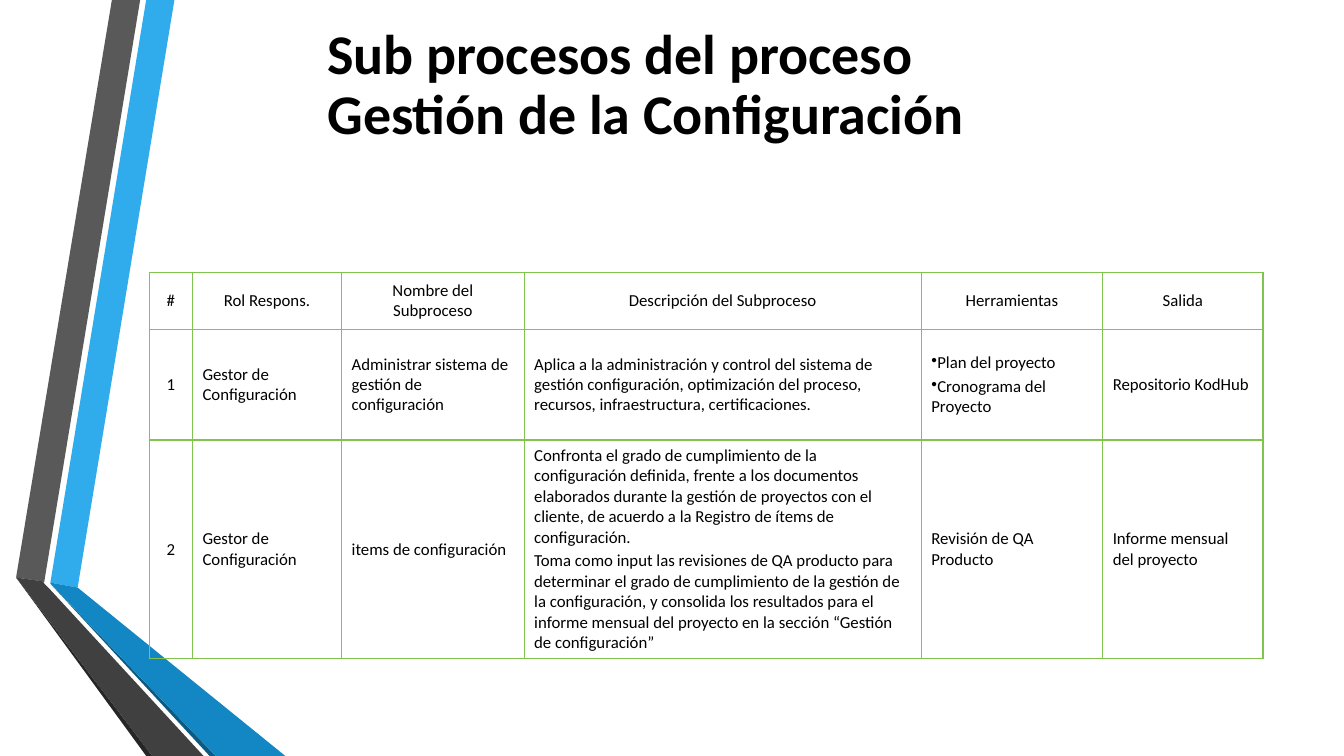
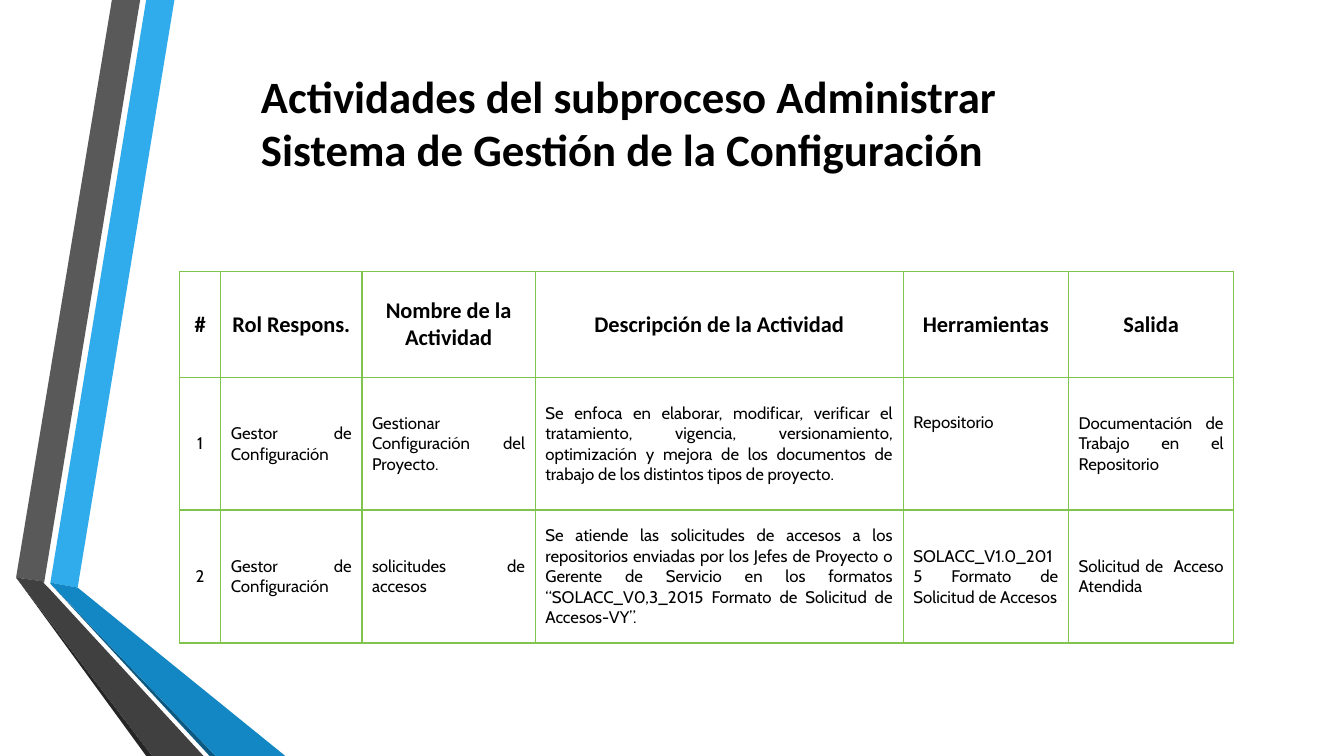
from lxml import etree
from pptx import Presentation
from pptx.dml.color import RGBColor
from pptx.enum.text import MSO_ANCHOR, MSO_AUTO_SIZE, PP_ALIGN
from pptx.oxml.ns import qn
from pptx.util import Inches, Pt

LEFT, CENTER, JUSTIFY = PP_ALIGN.LEFT, PP_ALIGN.CENTER, PP_ALIGN.JUSTIFY
MIDDLE = MSO_ANCHOR.MIDDLE
GROW = MSO_AUTO_SIZE.SHAPE_TO_FIT_TEXT

WIDTH, HEIGHT = Inches(40 / 3), Inches(7.5)
COLORS = {
    "text": "000000",
    "border": "80C34F",
    "sky": "30ACEC",
    "gray": "595959",
    "black": "262626",
    "navy": "0C5A82",
    "blue": "1287C3",
    "charcoal": "404040",
}
TITLE_FONT = "Calibri"
BULLET = "•"

RIBBONS = [
    ("sky", [(3.75, 77.07), (5.78, 77.73), (12.98, 0), (10.88, 0)]),
    ("gray", [(10.43, 0), (8.33, 0), (1.2, 76.4), (3.3, 76.93)]),
    ("black", [(1.2, 76.4), (10.88, 100), (11.33, 100)]),
    ("navy", [(3.75, 77.2), (15.6, 100), (16.05, 100)]),
    ("blue", [(3.75, 77.2), (16.05, 100), (21.23, 100), (5.78, 77.73), (3.75, 77.07)]),
    ("charcoal", [(15.15, 100), (3.6, 77.73), (3.23, 77.07), (3.3, 76.93), (1.2, 76.4), (11.33, 100)]),
]

SUBPROCESSES = [
    ["#", "Rol Respons.", "Nombre del Subproceso", "Descripción del Subproceso", "Herramientas", "Salida"],
    [
        "1",
        "Gestor de Configuración",
        "Administrar sistema de gestión de configuración",
        "Aplica a la administración y control del sistema de gestión configuración, "
        "optimización del proceso, recursos, infraestructura, certificaciones.",
        "•Plan del proyecto\n•Cronograma del Proyecto",
        "Repositorio KodHub",
    ],
    [
        "2",
        "Gestor de Configuración",
        "items de configuración",
        "Confronta el grado de cumplimiento de la configuración definida, frente a los "
        "documentos elaborados durante la gestión de proyectos con el cliente, de acuerdo "
        "a la Registro de ítems de configuración.\n"
        "Toma como input las revisiones de QA producto para determinar el grado de "
        "cumplimiento de la gestión de la configuración, y consolida los resultados para el "
        "informe mensual del proyecto en la sección “Gestión de configuración”",
        "Revisión de QA Producto",
        "Informe mensual del proyecto ",
    ],
]

ACTIVITIES = [
    ["#", "Rol Respons.", "Nombre de la Actividad", "Descripción de la Actividad", "Herramientas", "Salida"],
    [
        "1",
        "Gestor de Configuración",
        "Gestionar Configuración del Proyecto.",
        "Se enfoca en elaborar, modificar, verificar el tratamiento, vigencia, versionamiento, "
        "optimización y mejora de los documentos de trabajo de los distintos tipos de proyecto. ",
        "Repositorio",
        "Documentación de Trabajo en el Repositorio",
    ],
    [
        "2",
        "Gestor de Configuración",
        "solicitudes de accesos",
        "Se atiende las solicitudes de accesos a los repositorios enviadas por los Jefes de "
        "Proyecto o Gerente de Servicio en los formatos “SOLACC_V0,3_2015 Formato de "
        "Solicitud de Accesos-VY”.",
        "SOLACC_V1.0_2015 Formato de Solicitud de Accesos",
        "Solicitud de  Acceso Atendida",
    ],
]


def across(percent):
    return round(WIDTH * percent / 100)


def down(percent):
    return round(HEIGHT * percent / 100)


def frame(left, top, width, height):
    return across(left), down(top), across(width), down(height)


def rgb(name):
    return RGBColor.from_string(COLORS[name])


def add_run(paragraph, text, size, font, bold):
    run = paragraph.add_run()
    run.text = text
    run.font.size = Pt(size)
    run.font.name = font
    run.font.bold = bold
    run.font.color.rgb = rgb("text")


def add_paragraphs(text_frame, text):
    for index, line in enumerate(text.split("\n")):
        paragraph = text_frame.add_paragraph() if index else text_frame.paragraphs[0]
        yield paragraph, line


def move_ribbons_to_layout(slide):
    layout_tree = slide.slide_layout.shapes.element
    for color, corners in RIBBONS:
        points = [(across(x), down(y)) for x, y in corners]
        builder = slide.shapes.build_freeform(*points[0])
        builder.add_line_segments(points[1:], close=True)
        ribbon = builder.convert_to_shape()
        ribbon.shadow.inherit = False
        ribbon.fill.solid()
        ribbon.fill.fore_color.rgb = rgb(color)
        ribbon.line.fill.background()
        layout_tree.append(ribbon.element)


def add_title(slide, text, area, size, line_spacing=1.0, right_inset=0.75):
    title = slide.shapes.add_textbox(*frame(*area)).text_frame
    title.word_wrap = True
    title.auto_size = GROW
    title.margin_right = across(right_inset)
    for paragraph, line in add_paragraphs(title, text):
        paragraph.line_spacing = line_spacing
        add_run(paragraph, line, size, TITLE_FONT, True)


def outline_cell(cell):
    cell.fill.background()
    properties = cell._tc.get_or_add_tcPr()
    for index, side in enumerate(("a:lnL", "a:lnR", "a:lnT", "a:lnB")):
        edge = etree.Element(qn(side), w=str(Pt(1)))
        fill = etree.SubElement(edge, qn("a:solidFill"))
        etree.SubElement(fill, qn("a:srgbClr"), val=COLORS["border"])
        properties.insert(index, edge)


def fill_cell(cell, text, align, size, font, bold):
    outline_cell(cell)
    cell.vertical_anchor = MIDDLE
    for paragraph, line in add_paragraphs(cell.text_frame, text):
        paragraph.alignment = align
        paragraph.space_before = Pt(size * 0.2)
        if line.startswith(BULLET):
            etree.SubElement(paragraph._p.get_or_add_pPr(), qn("a:buChar"), char=BULLET)
        add_run(paragraph, line.removeprefix(BULLET), size, font, bold)


def add_process_table(slide, content, origin, columns, rows, header, body, body_align):
    area = frame(*origin, sum(columns), sum(rows))
    table = slide.shapes.add_table(len(rows), len(columns), *area).table
    table.first_row = table.horz_banding = False
    for column, share in zip(table.columns, columns):
        column.width = across(share)
    for row, share in zip(table.rows, rows):
        row.height = down(share)
    for r, texts in enumerate(content):
        for c, text in enumerate(texts):
            align = body_align if r and c else CENTER
            fill_cell(table.cell(r, c), text, align, *(body if r else header))
    return table


def add_subprocess_slide(slide):
    plain = (12, "Calibri", False)
    add_process_table(
        slide, SUBPROCESSES, (11.1, 36),
        [3.22, 11.1, 13.58, 29.55, 13.5, 11.93], [7.6, 14.6, 28.93],
        plain, plain, LEFT,
    )
    add_title(
        slide, "Sub procesos del proceso \nGestión de la Configuración",
        (23.63, 2.8, 62.4, 17.47), 40, line_spacing=0.9,
    )


def add_activity_slide(slide):
    table = add_process_table(
        slide, ACTIVITIES, (13.35, 35.87),
        [3.08, 10.5, 12.9, 27.38, 12.3, 12.3], [14.1, 17.5, 17.6],
        (16, "Calibri", True), (12, "Cabin", False), JUSTIFY,
    )
    table.cell(1, 4).margin_bottom = down(6.3)
    add_title(
        slide, "Actividades del subproceso Administrar Sistema de Gestión de la Configuración",
        (18.68, 8.4, 67.74, 15.6), 32, right_inset=6,
    )


def main():
    deck = Presentation()
    deck.slide_width, deck.slide_height = WIDTH, HEIGHT
    blank = deck.slide_layouts[6]
    subprocesses = deck.slides.add_slide(blank)
    move_ribbons_to_layout(subprocesses)
    add_subprocess_slide(subprocesses)
    add_activity_slide(deck.slides.add_slide(blank))
    deck.save("out.pptx")


main()
